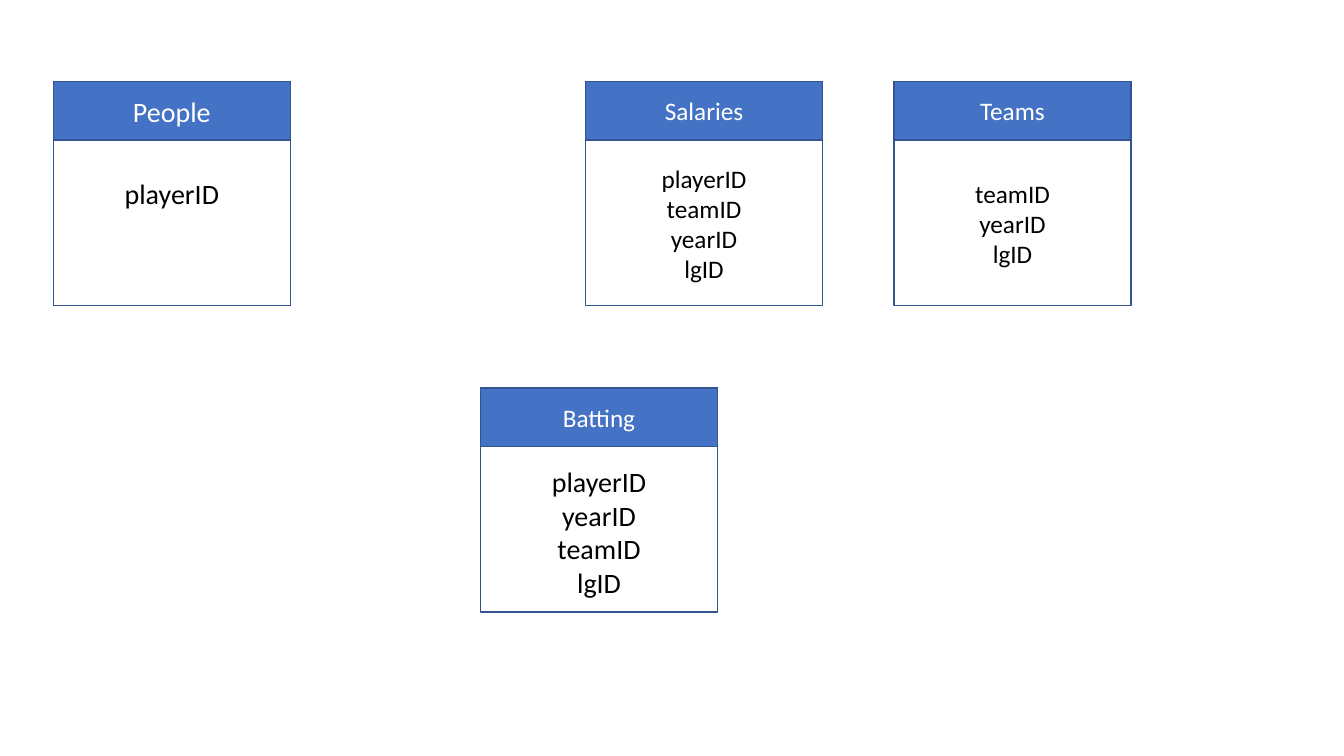
"""Build a slide with the four tables of a baseball database and their keys."""

from dataclasses import dataclass

import pptx
import pptx.dml.color
import pptx.enum.shapes
import pptx.enum.text
import pptx.shapes.autoshape
import pptx.slide
import pptx.util

Pt = pptx.util.Pt
RGBColor = pptx.dml.color.RGBColor

HEADER_BLUE = RGBColor(0x44, 0x72, 0xC4)
BORDER_BLUE = RGBColor(0x32, 0x54, 0x91)
WHITE = RGBColor(0xFF, 0xFF, 0xFF)
BLACK = RGBColor(0x00, 0x00, 0x00)

FONT_NAME = "Calibri"
TABLE_WIDTH = 169.2
TABLE_HEIGHT = 159.84
HEADER_HEIGHT = 41.76
TOP_ROW = 58.32
BOTTOM_ROW = 277.2
INSET = 3.6


@dataclass(frozen=True)
class DatabaseTable:
    name: str
    keys: tuple[str, ...]
    left: float
    top: float
    name_size: float = 18
    key_size: float = 18
    key_offset: float = 42.8


DATABASE_TABLES = (
    DatabaseTable("People", ("playerID",), 38.16, TOP_ROW, name_size=20, key_size=20, key_offset=0),
    DatabaseTable("Batting", ("playerID", "yearID", "teamID", "lgID"), 343.3, BOTTOM_ROW, key_size=20, key_offset=45.4),
    DatabaseTable("Teams", ("teamID", "yearID", "lgID"), 638.64, TOP_ROW),
    DatabaseTable("Salaries", ("playerID", "teamID", "yearID", "lgID"), 418.32, TOP_ROW),
)


def add_box(
    slide: pptx.slide.Slide,
    table: DatabaseTable,
    height: float,
    lines: tuple[str, ...],
    size: float,
    color: RGBColor,
) -> pptx.shapes.autoshape.Shape:
    shape = slide.shapes.add_shape(
        pptx.enum.shapes.MSO_SHAPE.RECTANGLE,
        Pt(table.left), Pt(table.top), Pt(TABLE_WIDTH), Pt(height),
    )
    shape.shadow.inherit = False
    shape.fill.background()
    shape.line.color.rgb = BORDER_BLUE
    shape.line.width = Pt(1)
    text_frame = shape.text_frame
    text_frame.text = "\n".join(lines)
    text_frame.word_wrap = True
    text_frame.vertical_anchor = pptx.enum.text.MSO_ANCHOR.MIDDLE
    for paragraph in text_frame.paragraphs:
        paragraph.alignment = pptx.enum.text.PP_ALIGN.CENTER
        for run in paragraph.runs:
            run.font.name = FONT_NAME
            run.font.size = Pt(size)
            run.font.color.rgb = color
    return shape


def add_database_table(slide: pptx.slide.Slide, table: DatabaseTable) -> None:
    body = add_box(slide, table, TABLE_HEIGHT, table.keys, table.key_size, BLACK)
    body.text_frame.margin_top = Pt(INSET + table.key_offset)
    header = add_box(slide, table, HEADER_HEIGHT, (table.name,), table.name_size, WHITE)
    header.fill.solid()
    header.fill.fore_color.rgb = HEADER_BLUE


def main() -> None:
    presentation = pptx.Presentation()
    presentation.slide_width = Pt(960)
    presentation.slide_height = Pt(540)
    slide = presentation.slides.add_slide(presentation.slide_layouts[6])
    for table in DATABASE_TABLES:
        add_database_table(slide, table)
    presentation.save("out.pptx")


if __name__ == "__main__":
    main()
